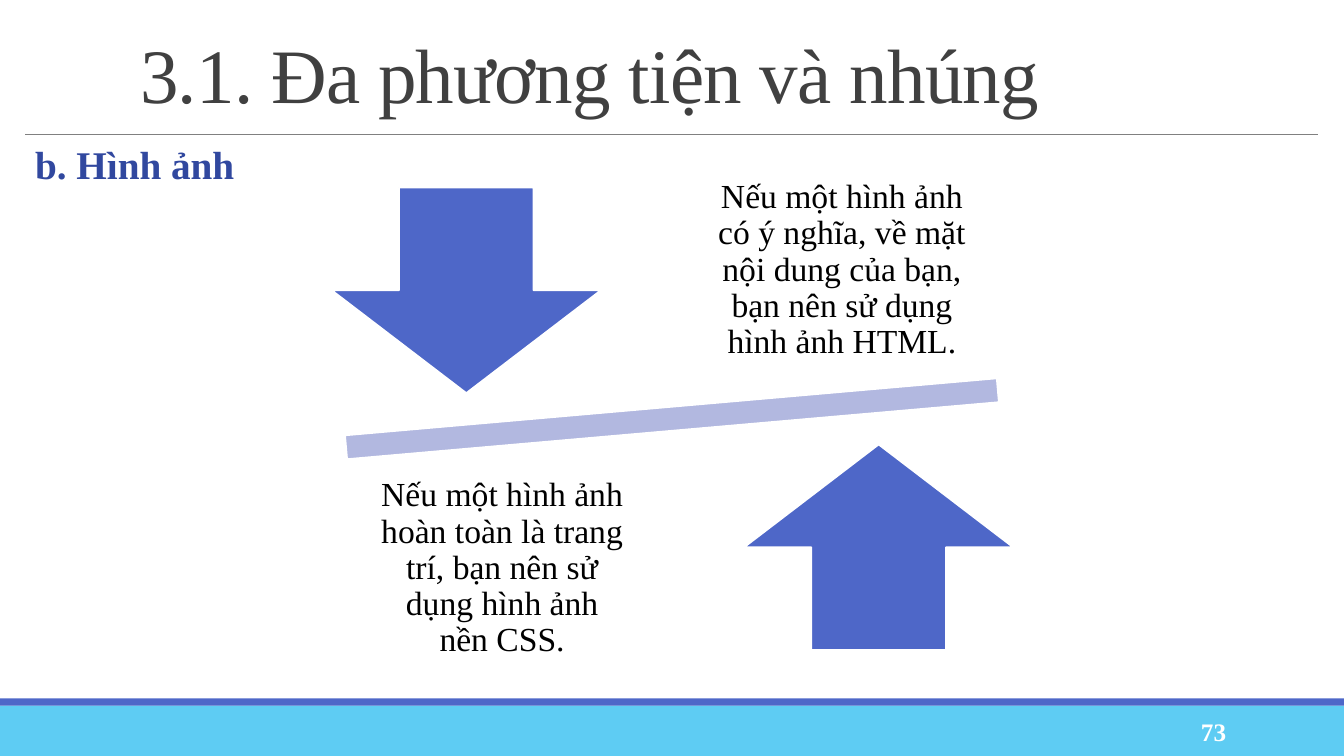
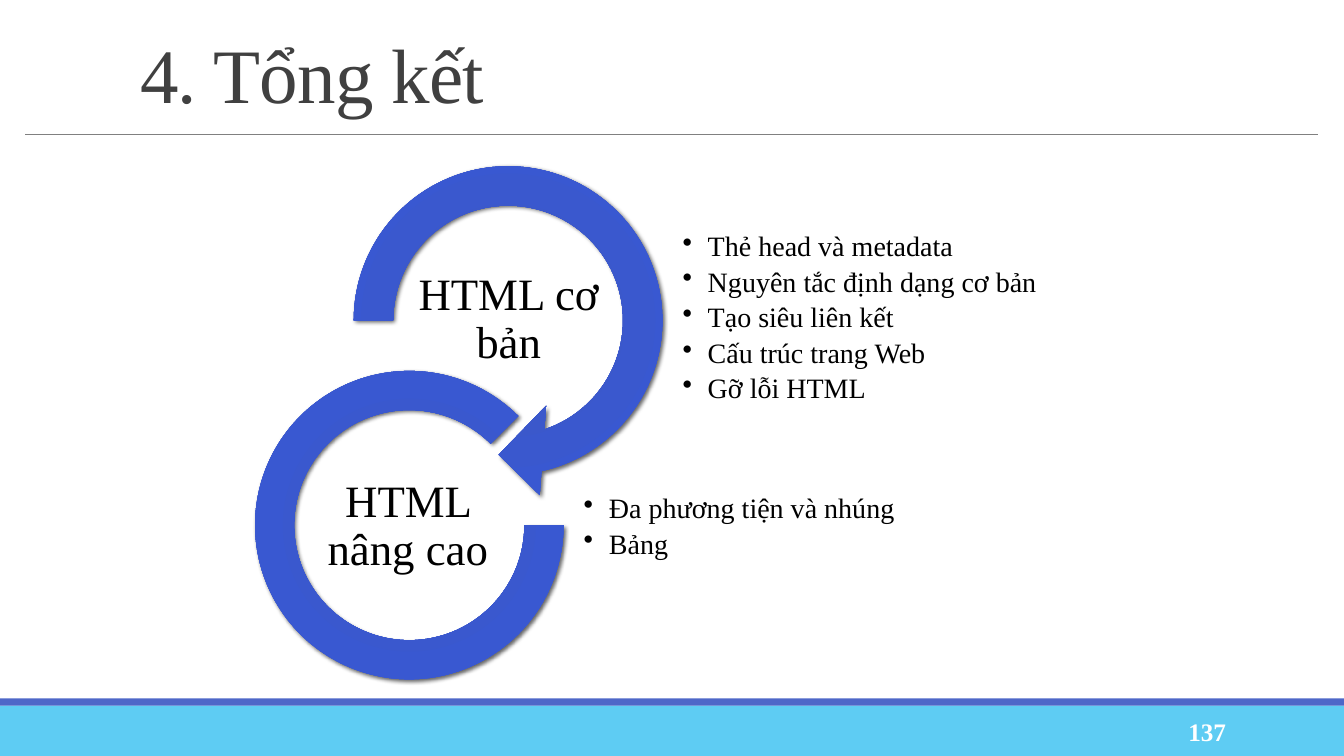
from lxml import etree
from pptx import Presentation
from pptx.dml.color import RGBColor
from pptx.enum.shapes import MSO_CONNECTOR as Connector, MSO_SHAPE as Preset
from pptx.enum.text import MSO_ANCHOR as Anchor, MSO_AUTO_SIZE as AutoSize, PP_ALIGN as Align
from pptx.oxml import parse_xml
from pptx.oxml.ns import nsdecls, qn
from pptx.util import Inches, Pt

FONT = "Times New Roman"
COLORS = {
    "band": "5ECCF3",
    "accent": "4E67C8",
    "rule": "808080",
    "title": "404040",
    "heading": "31489F",
    "bar": "B2B8E0",
    "text": "000000",
    "white": "FFFFFF",
}
RING_STOPS = [(0, "3856CB"), (34, "3B58CB"), (70, "3958D1"), (100, "4863CE")]


def color(name):
    return RGBColor.from_string(COLORS[name])


def place(left, top, width, height):
    return [Inches(value) for value in (left, top, width, height)]


# Text
def add_bullet(para, indent=0.25):
    props = para._p.get_or_add_pPr()
    props.set("marL", str(Inches(indent)))
    props.set("indent", str(-Inches(indent)))
    etree.SubElement(props, qn("a:buChar")).set("char", "•")


def write_text(frame, *lines, size, ink="text", bold=False, align=Align.LEFT,
               anchor=Anchor.MIDDLE, margins=(0.1, 0.05), spacing=0.9,
               after=0, bullets=False, tracking=None):
    frame.word_wrap = True
    frame.auto_size = AutoSize.NONE
    frame.vertical_anchor = anchor
    frame.margin_left = frame.margin_right = Inches(margins[0])
    frame.margin_top = frame.margin_bottom = Inches(margins[1])
    for index, line in enumerate(lines):
        para = frame.add_paragraph() if index else frame.paragraphs[0]
        para.alignment = align
        para.line_spacing = spacing
        para.space_after = Pt(after)
        if bullets:
            add_bullet(para)
        span = para.add_run()
        span.text = line
        span.font.name = FONT
        span.font.size = Pt(size)
        span.font.bold = bold
        span.font.color.rgb = color(ink)
        if tracking is not None:
            span._r.get_or_add_rPr().set("spc", str(int(tracking * 100)))


def add_text(page, area, *lines, **style):
    box = page.shapes.add_textbox(*place(*area))
    write_text(box.text_frame, *lines, **style)


# Shapes
def add_preset(page, preset, area, fill, outline=None, rotation=0):
    shape = page.shapes.add_shape(preset, *place(*area))
    shape.shadow.inherit = False
    shape.rotation = rotation
    shape.fill.solid()
    shape.fill.fore_color.rgb = color(fill)
    if outline:
        shape.line.color.rgb = color(outline)
        shape.line.width = Pt(1.25)
    else:
        shape.line.fill.background()
    return shape


def add_ring(page, preset, area, adjustments):
    """Curved band with a radial gradient and a soft shadow."""
    ring = add_preset(page, preset, area, "accent")
    for index, value in enumerate(adjustments):
        ring.adjustments[index] = value
    props = ring._element.spPr
    stops = "".join(
        f'<a:gs pos="{pos * 1000}"><a:srgbClr val="{tone}"/></a:gs>' for pos, tone in RING_STOPS)
    gradient = parse_xml(
        f'<a:gradFill {nsdecls("a")} rotWithShape="1"><a:gsLst>{stops}</a:gsLst>'
        '<a:path path="circle"><a:fillToRect l="100000" t="100000" r="100000" b="100000"/>'
        '</a:path></a:gradFill>')
    props.replace(props.find(qn("a:solidFill")), gradient)
    props.find(qn("a:effectLst")).append(parse_xml(
        f'<a:outerShdw {nsdecls("a")} blurRad="{Pt(3)}" dist="{Pt(2)}" dir="2700000" '
        'rotWithShape="0"><a:srgbClr val="000000"><a:alpha val="60000"/></a:srgbClr>'
        '</a:outerShdw>'))


# Shared page frame: bands, rule, title and number
def add_page(deck, title, number):
    page = deck.slides.add_slide(deck.slide_layouts[5])
    add_preset(page, Preset.RECTANGLE, (0, 7, 13.33, 0.5), "band")
    add_preset(page, Preset.RECTANGLE, (0, 6.93, 13.33, 0.07), "accent")
    rule = page.shapes.add_connector(Connector.STRAIGHT, *place(0.25, 1.33, 13.07, 1.33))
    rule.line.color.rgb = color("rule")
    rule.line.width = Pt(0.5)
    etree.SubElement(rule._element.spPr, qn("a:effectLst"))

    heading = page.shapes.title
    heading.left, heading.top, heading.width, heading.height = place(1.29, 0.31, 11.78, 0.96)
    write_text(heading.text_frame, title, size=55, ink="title", spacing=0.85, tracking=-0.5)
    add_text(page, (10.83, 7.06, 1.43, 0.4), str(number), size=18, ink="white",
             bold=True, align=Align.RIGHT, spacing=1)
    return page


def build_images_page(deck):
    page = add_page(deck, "3.1. Đa phương tiện và nhúng", 73)
    add_text(page, (0.25, 1.4, 12.82, 0.6), "b. Hình ảnh", size=28, ink="heading",
             bold=True, anchor=Anchor.TOP)

    # Balance bar with opposing arrows
    add_preset(page, Preset.MATH_MINUS, (2.25, 3.65, 8.83, 1.01), "bar", "white", rotation=355)
    sides = [
        (Preset.DOWN_ARROW, (3.29, 1.86), (6.93, 1.61),
         "Nếu một hình ảnh có ý nghĩa, về mặt nội dung của bạn, "
         "bạn nên sử dụng hình ảnh HTML."),
        (Preset.UP_ARROW, (7.38, 4.41), (3.56, 4.57),
         "Nếu một hình ảnh hoàn toàn là trang trí, bạn nên sử dụng hình ảnh nền CSS."),
    ]
    for arrow, arrow_corner, text_corner, advice in sides:
        add_preset(page, arrow, (*arrow_corner, 2.67, 2.04), "accent", "white")
        add_text(page, (*text_corner, 2.84, 2.14), advice, size=24,
                 align=Align.CENTER, margins=(0.19, 0.19))


def build_summary_page(deck):
    page = add_page(deck, "4. Tổng kết", 137)
    topics = [
        (Preset.CIRCULAR_ARROW, (3.26, 1.4, 3.56, 3.56), (0.11, 11.423, 45, 108, 0.125),
         "HTML cơ bản", (4.05, 2.68), (6.76, 2.45),
         ["Thẻ head và metadata", "Nguyên tắc định dạng cơ bản", "Tạo siêu liên kết",
          "Cấu trúc trang Web", "Gỡ lỗi HTML"]),
        (Preset.BLOCK_ARC, (2.53, 3.68, 3.06, 3.06), (0, 189, 0.127),
         "HTML nâng cao", (3.05, 4.73), (5.78, 4.52),
         ["Đa phương tiện và nhúng", "Bảng"]),
    ]
    for preset, area, adjustments, name, name_corner, list_corner, points in topics:
        add_ring(page, preset, area, adjustments)
        add_text(page, (*list_corner, 5.83, 1.42), *points, size=20,
                 margins=(0.01, 0.01), after=3.8, bullets=True)
        add_text(page, (*name_corner, 1.99, 0.99), name, size=32,
                 align=Align.CENTER, margins=(0.02, 0.02))


def main():
    deck = Presentation()
    deck.slide_width, deck.slide_height = Inches(13.33), Inches(7.5)
    build_images_page(deck)
    build_summary_page(deck)
    deck.save("out.pptx")


if __name__ == "__main__":
    main()
